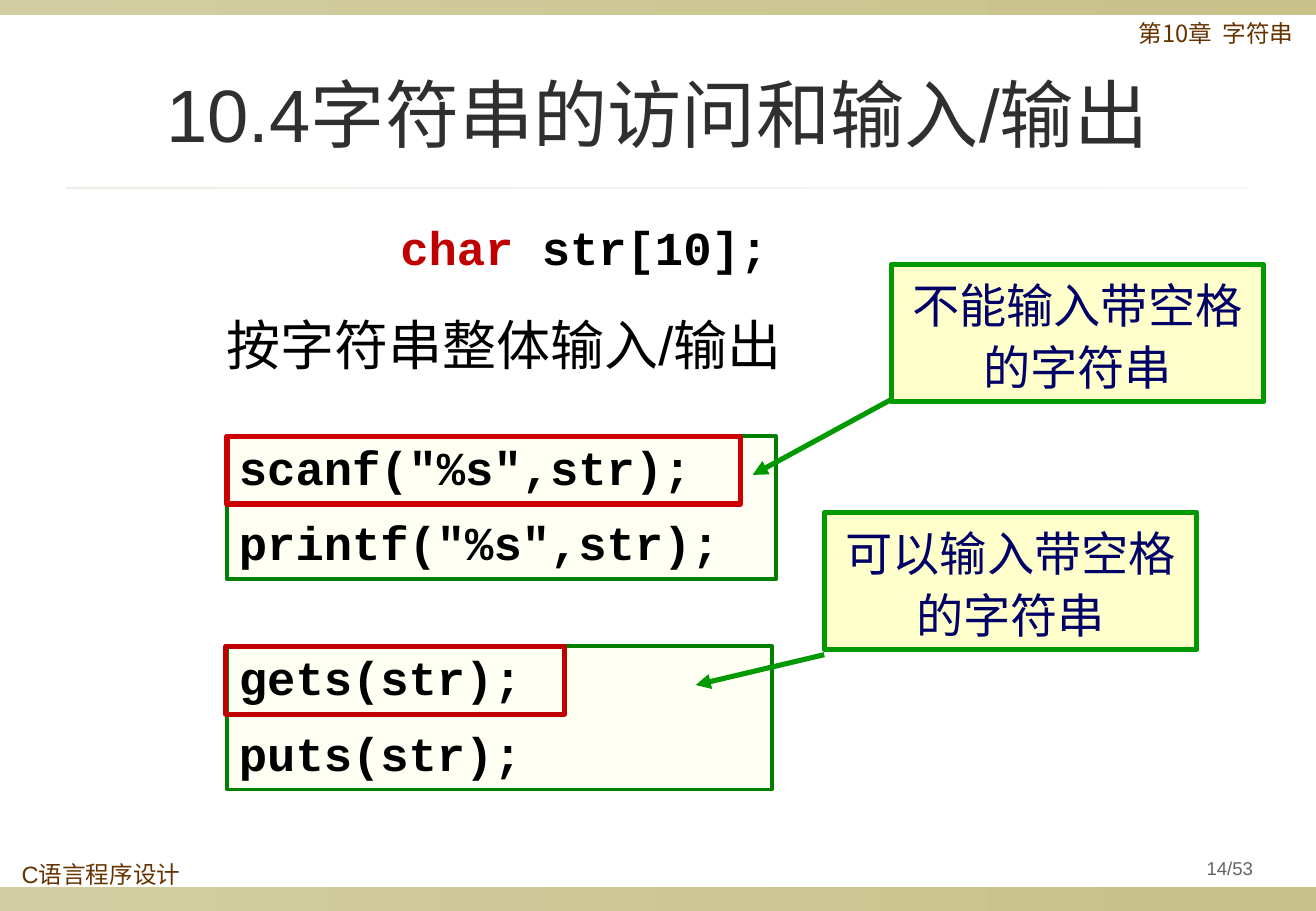
from lxml import etree
from pptx import Presentation
from pptx.dml.color import RGBColor
from pptx.enum.shapes import MSO_CONNECTOR, MSO_SHAPE
from pptx.enum.text import MSO_ANCHOR, PP_ALIGN
from pptx.oxml.ns import qn
from pptx.util import Inches, Pt

LEFT, CENTER = PP_ALIGN.LEFT, PP_ALIGN.CENTER
TOP, MIDDLE = MSO_ANCHOR.TOP, MSO_ANCHOR.MIDDLE
RECT, STRAIGHT = MSO_SHAPE.RECTANGLE, MSO_CONNECTOR.STRAIGHT
HAN, SANS, MONO = "Noto Sans CJK SC", "Arial", "Courier New"
BLACK, RED, BROWN, GREEN = "000000", "C00000", "663300", "009900"


def color(code):
    return RGBColor.from_string(code)


def write(shape, lines, font=SANS, size=28, ink=BLACK, bold=False, align=LEFT,
          anchor=TOP, space=1.0, before=0, after=0, pad=(0.1, 0.1)):
    frame = shape.text_frame
    frame.word_wrap = True
    frame.vertical_anchor = anchor
    frame.margin_left, frame.margin_right = map(Inches, pad)
    frame.margin_top = frame.margin_bottom = Inches(0.05)
    for i, line in enumerate(lines):
        para = frame.add_paragraph() if i else frame.paragraphs[0]
        para.alignment, para.line_spacing = align, space
        para.space_before = Pt(before if i else 0)
        para.space_after = Pt(after)
        parts = [(line, ink)] if isinstance(line, str) else line
        for words, tint in parts:
            run = para.add_run()
            run.text = words
            run.font.name, run.font.size, run.font.bold = font, Pt(size), bold
            run.font.color.rgb = color(tint)
            east = etree.SubElement(run._r.get_or_add_rPr(), qn("a:ea"))
            east.set("typeface", HAN)


class Page:
    """Holds the slide and draws its elements in one style."""

    code = dict(font=MONO, bold=True, space=0.95, before=7, after=6)
    note = dict(font=HAN, ink="000066", align=CENTER, space=1.1, after=6)

    def __init__(self, deck):
        self.shapes = deck.slides.add_slide(deck.slide_layouts[6]).shapes

    def rect(self, x, y, w, h, fill=None, line=None, width=3):
        box = self.shapes.add_shape(RECT, *map(Inches, (x, y, w, h)))
        box.shadow.inherit = False
        if fill:
            box.fill.solid()
            box.fill.fore_color.rgb = color(fill)
        else:
            box.fill.background()
        if line:
            box.line.color.rgb = color(line)
            box.line.width = Pt(width)
        else:
            box.line.fill.background()
        return box

    def fade(self, x, y, w, h, start, end):
        bar = self.rect(x, y, w, h)
        bar.fill.gradient()
        bar.fill.gradient_angle = 0
        for stop, tint in zip(bar.fill.gradient_stops, (start, end)):
            stop.color.rgb = color(tint)

    def text(self, x, y, w, h, lines, **style):
        box = self.shapes.add_textbox(*map(Inches, (x, y, w, h)))
        write(box, lines, **style)

    def block(self, y, w, lines):
        box = self.rect(1.87, y, w, 1.18, "FFFFF4", "008000", 2.25)
        write(box, lines, **self.code)

    def arrow(self, x1, y1, x2, y2):
        ends = map(Inches, (x1, y1, x2, y2))
        link = self.shapes.add_connector(STRAIGHT, *ends)
        link.line.color.rgb = color(GREEN)
        link.line.width = Pt(3)
        tip = etree.SubElement(link.line._get_or_add_ln(), qn("a:tailEnd"))
        tip.set("type", "triangle")
        etree.SubElement(link._element.spPr, qn("a:effectLst"))

    def callout(self, x, y, words, start, tip):
        self.arrow(x, start, *tip)
        write(self.rect(x, y, 3.07, 1.13, "FFFFCC", GREEN), [words], **self.note)


def main():
    deck = Presentation()
    deck.slide_width, deck.slide_height = Inches(10.84), Inches(7.5)
    page = Page(deck)
    for y, h in ((7.3, 0.2), (0, 0.12)):
        page.fade(0, y, 10.84, h, "D3CEA1", "C8C18A")
    page.fade(0.54, 1.54, 9.75, 0.02, "EDECE5", "F8F7F5")
    label = dict(size=14, ink=BROWN, space=0.9)
    page.text(9.28, 0.13, 1.56, 0.39, ["第10章  字符串"], font=HAN,
              pad=(0.1, 0), **label)
    page.text(0.08, 7.06, 1.56, 0.32, ["C语言程序设计"], **label)
    page.text(0.54, 0.3, 9.75, 1.25, ["10.4字符串的访问和输入/输出"], size=44,
              ink="2F2F2F", align=CENTER, anchor=MIDDLE)
    page.text(3.2, 1.78, 3.58, 0.71, [[("char", RED), (" str[10];", BLACK)]],
              **page.code)
    page.text(1.39, 2.41, 5.52, 0.92, ["按字符串整体输入/输出"], size=32,
              align=CENTER, anchor=MIDDLE, space=0.85, after=6)
    page.block(3.59, 4.52, ['scanf("%s",str);', 'printf("%s",str);'])
    page.block(5.32, 4.49, ["gets(str);", "puts(str);"])
    page.callout(7.34, 2.18, "不能输入带空格的字符串", 3.29, (6.2, 3.91))
    page.rect(1.87, 3.59, 4.23, 0.56, line="CC0000")
    page.callout(6.79, 4.22, "可以输入带空格的字符串", 5.39, (5.73, 5.64))
    page.rect(1.86, 5.32, 2.79, 0.56, line=RED)
    page.text(9.59, 7, 1.08, 0.31, ["14/53"], size=11, ink="636363", space=0.9,
              after=6, align=CENTER, anchor=MIDDLE, pad=(0.05, 0.05))
    deck.save("out.pptx")


if __name__ == "__main__":
    main()
